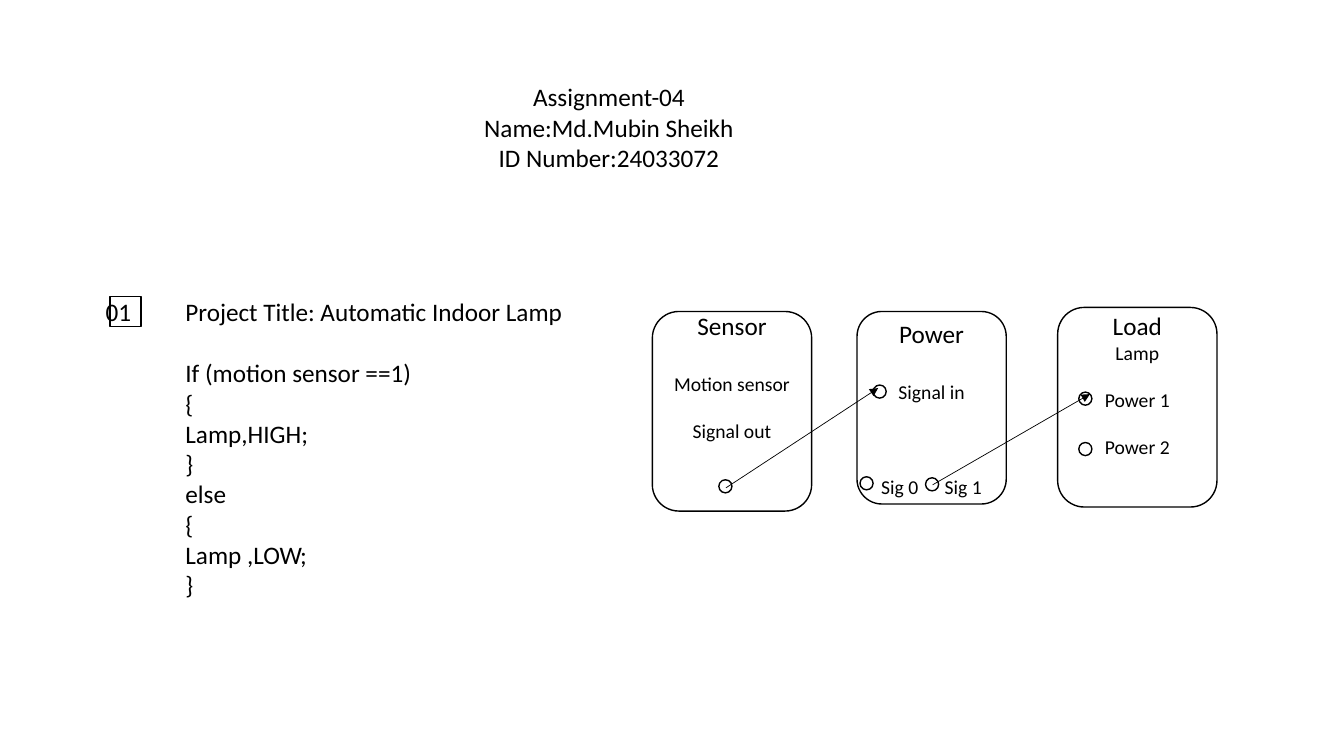
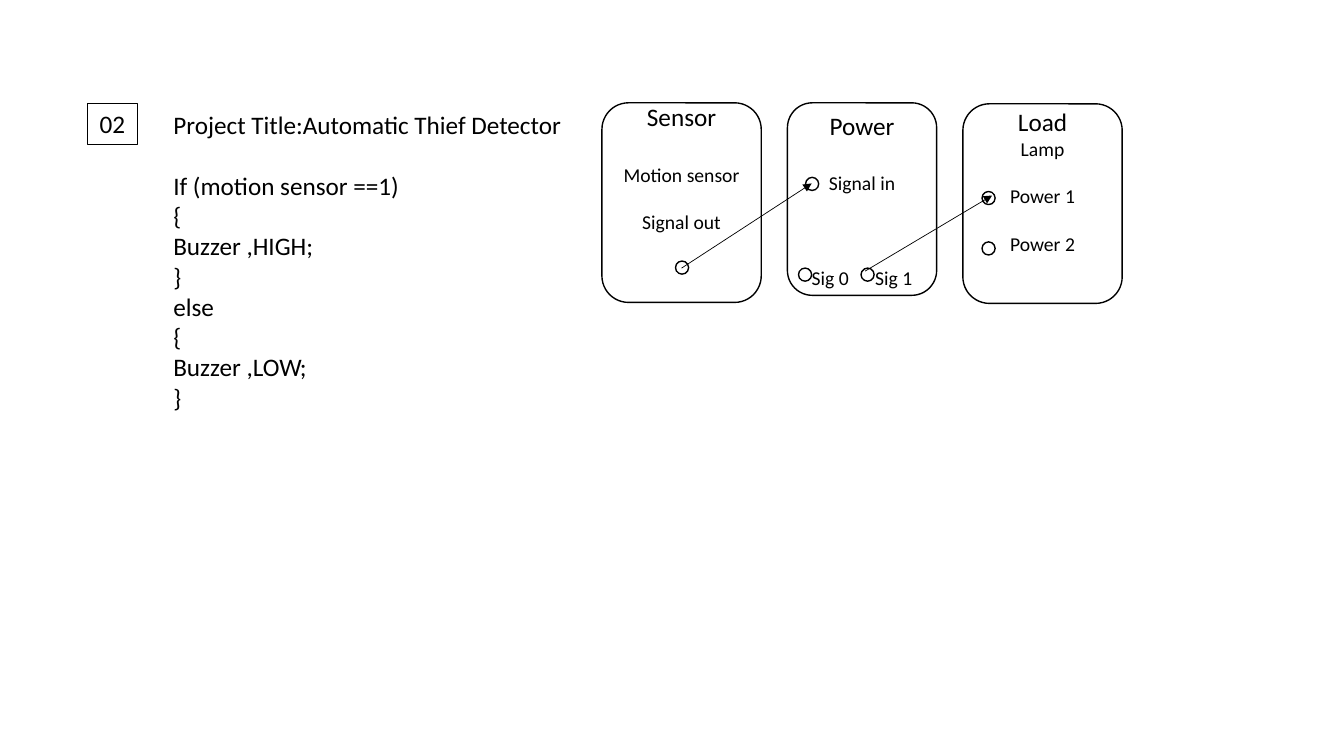
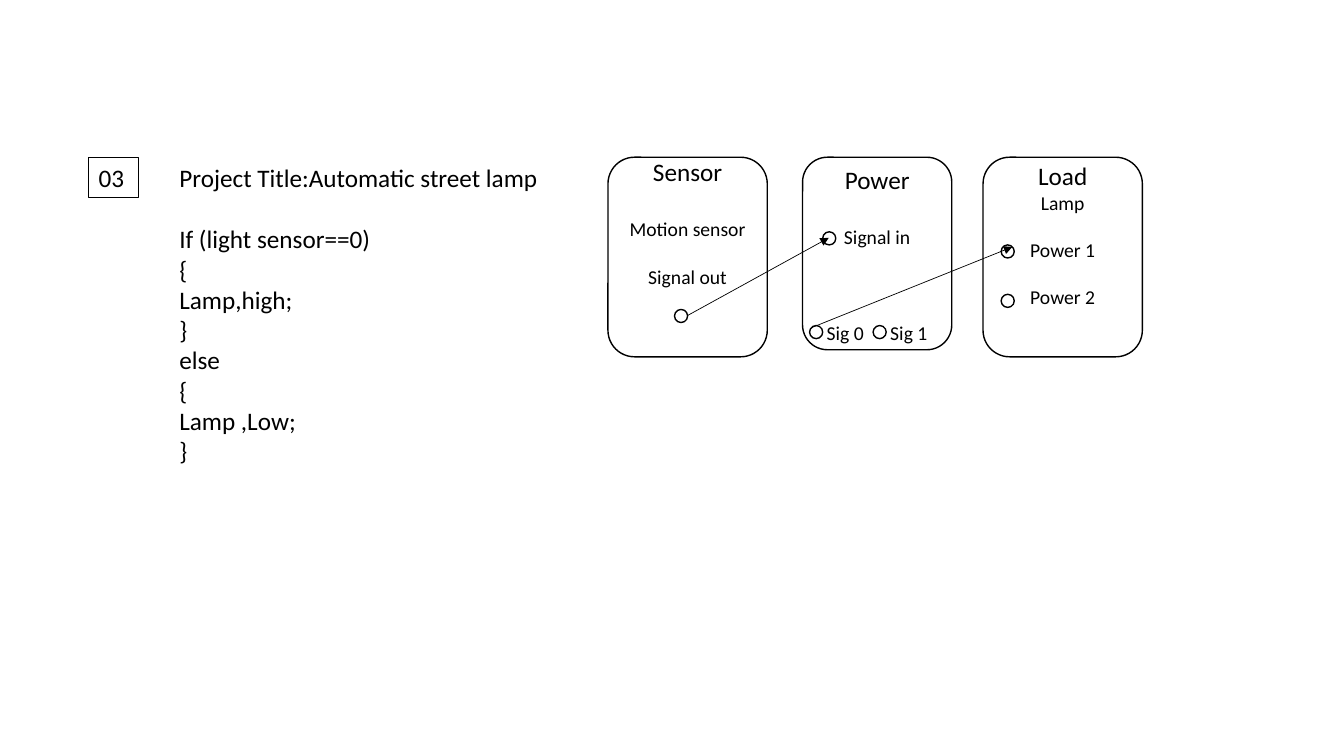
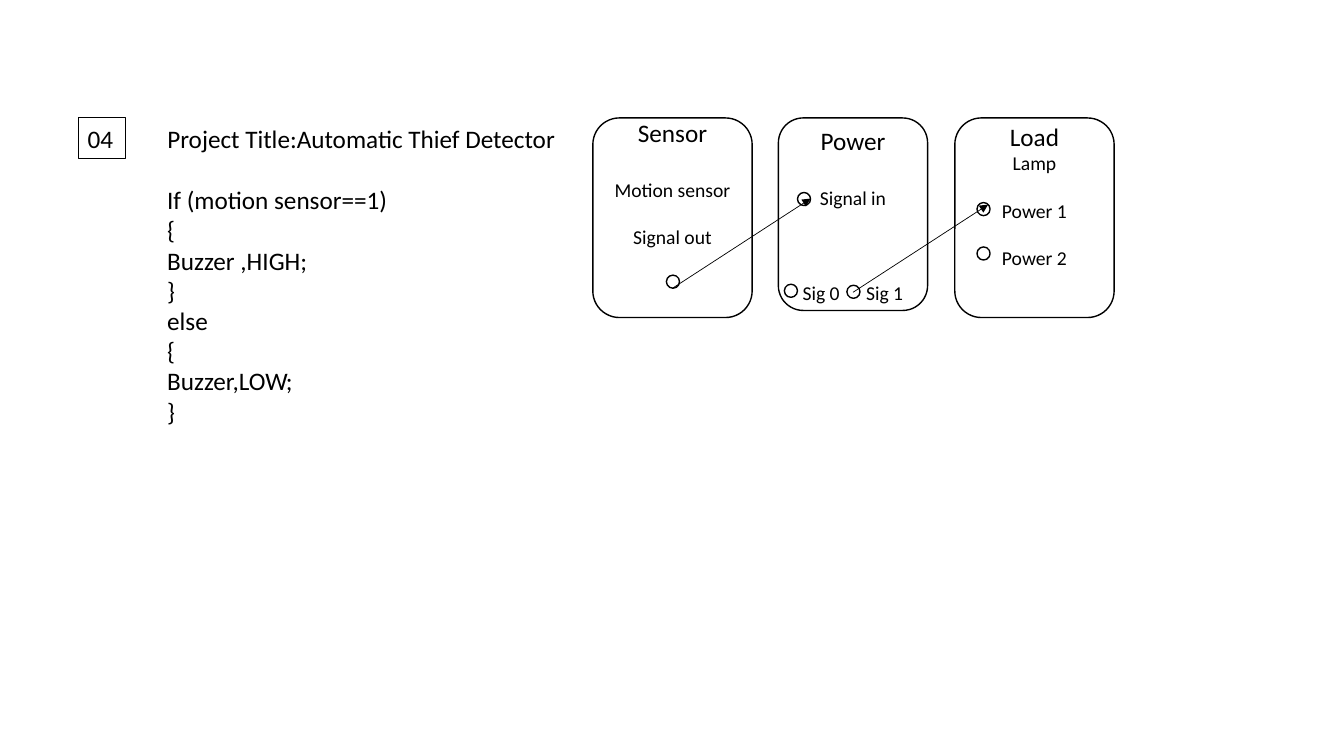
from dataclasses import dataclass

from lxml.etree import SubElement
from pptx import Presentation
from pptx.dml.color import RGBColor
from pptx.enum.shapes import MSO_CONNECTOR as Connector, MSO_SHAPE as Shape
from pptx.enum.text import MSO_ANCHOR as Anchor, MSO_AUTO_SIZE as AutoSize, PP_ALIGN as Align
from pptx.oxml.ns import qn
from pptx.util import Inches, Pt

INK = "000000"
BODY, SMALL = 18, 14            # text sizes
BODY_GAP, SMALL_GAP = 22, 17    # one line of each size, in points
TITLE_STEP = 0.61               # from project title to program, in inches
PORT = 0.13


def color(value):
    return RGBColor.from_string(value)


@dataclass
class Line:
    text: str
    size: int = BODY
    gap: int = 0


@dataclass
class Panel:
    width: float
    height: float
    text_top: float
    lines: list


PANELS = [
    Panel(1.58, 1.98, -0.01, [Line("Sensor"), Line("Motion sensor", SMALL, BODY_GAP),
                              Line("Signal out", SMALL, SMALL_GAP)]),
    Panel(1.48, 1.91, 0.07, [Line("Power"), Line("Signal in", SMALL, BODY_GAP)]),
    Panel(1.58, 1.98, 0.03, [Line("Load"), Line("Lamp", SMALL),
                             Line("Power 1", SMALL, SMALL_GAP),
                             Line("Power 2", SMALL, SMALL_GAP)]),
]
SIGNALS = {"Sig 0": 0.24, "Sig 1": 0.87}    # offsets inside the power panel
SIGNAL_TOP = 1.62


@dataclass
class Project:
    number: str
    number_at: tuple
    badge: tuple
    badge_line: float
    title: str
    at: tuple
    condition: str
    high: str
    low: str
    panels_at: list
    ports: list
    wires: list
    heading: tuple = ()


PROJECTS = [
    Project("01", (0.95, 2.89), (1.09, 2.94, 0.31, 0.3), 1,
            "Project Title: Automatic Indoor Lamp", (1.74, 2.89),
            "If (motion sensor ==1)", "Lamp,HIGH;", "Lamp ,LOW;",
            [(6.47, 3.09), (8.5, 3.09), (10.49, 3.05)],
            [(7.13, 4.76), (8.66, 3.82), (8.53, 4.73), (9.18, 4.74),
             (10.7, 3.89), (10.7, 4.39)],
            [(7.2, 4.84, 8.71, 3.85), (9.25, 4.81, 10.81, 3.91)],
            ("Assignment-04", "Name:Md.Mubin Sheikh", "ID Number:24033072")),
    Project("02", (0.89, 1.03), (0.87, 1.03, 0.49, 0.4), 0.75,
            "Project Title:Automatic Thief Detector", (1.62, 1.03),
            "If (motion sensor ==1)", "Buzzer ,HIGH;", "Buzzer ,LOW;",
            [(5.97, 1.02), (7.81, 1.02), (9.55, 1.03)],
            [(6.7, 2.59), (7.99, 1.76), (7.92, 2.66), (8.54, 2.66),
             (9.74, 1.9), (9.74, 2.4)],
            [(6.76, 2.66, 8.05, 1.82), (8.58, 2.69, 9.84, 1.94)]),
    Project("03", (0.88, 1.56), (0.88, 1.56, 0.49, 0.4), 0.75,
            "Project Title:Automatic street lamp", (1.68, 1.56),
            "If (light sensor==0)", "Lamp,high;", "Lamp ,Low;",
            [(6.03, 1.56), (7.96, 1.56), (9.75, 1.56)],
            [(6.69, 3.07), (8.16, 2.3), (8.03, 3.23), (8.66, 3.23),
             (9.93, 2.43), (9.93, 2.92)],
            [(6.82, 3.13, 8.22, 2.36), (8.05, 3.25, 10.04, 2.45)]),
    Project("04", (0.77, 1.17), (0.78, 1.17, 0.47, 0.4), 0.75,
            "Project Title:Automatic Thief Detector", (1.56, 1.17),
            "If (motion sensor==1)", "Buzzer ,HIGH;", "Buzzer,LOW;",
            [(5.88, 1.17), (7.72, 1.17), (9.47, 1.17)],
            [(6.61, 2.73), (7.91, 1.91), (7.78, 2.82), (8.4, 2.83),
             (9.69, 2.01), (9.69, 2.45)],
            [(6.67, 2.86, 8.04, 1.97), (8.46, 2.9, 9.8, 2.03)]),
]


class Deck:
    def __init__(self):
        self.show = Presentation()
        self.show.slide_width, self.show.slide_height = Inches(13.33), Inches(7.5)

    def add_slide(self):
        self.slide = self.show.slides.add_slide(self.show.slide_layouts[5])

    def fill_lines(self, holder, lines, align=Align.LEFT, **margins):
        frame = holder.text_frame
        settings = {"word_wrap": True, "auto_size": AutoSize.NONE,
                    "vertical_anchor": Anchor.TOP, **margins}
        for name, value in settings.items():
            setattr(frame, name, value)
        for index, line in enumerate(lines):
            paragraph = frame.add_paragraph() if index else frame.paragraphs[0]
            paragraph.alignment = align
            paragraph.space_before = Pt(line.gap)
            run = paragraph.add_run()
            run.text = line.text
            for name, value in {"name": "Calibri", "size": Pt(line.size)}.items():
                setattr(run.font, name, value)
            run.font.color.rgb = color(INK)

    def title(self, lines, box, align=Align.LEFT):
        heading = self.slide.shapes.title
        for name, value in zip(("left", "top", "width", "height"), box):
            setattr(heading, name, Inches(value))
        self.fill_lines(heading, lines, align)

    def text(self, lines, box, align=Align.LEFT, **margins):
        label = self.slide.shapes.add_textbox(*map(Inches, box))
        self.fill_lines(label, lines, align, **margins)

    def outline(self, kind, box, weight=1):
        shape = self.slide.shapes.add_shape(kind, *map(Inches, box))
        shape.shadow.inherit = False
        shape.fill.background()
        shape.line.color.rgb = color(INK)
        shape.line.width = Pt(weight)

    def arrow(self, ends):
        wire = self.slide.shapes.add_connector(Connector.STRAIGHT, *map(Inches, ends))
        wire.line.color.rgb = color(INK)
        wire.line.width = Pt(0.5)
        properties = wire._element.spPr
        SubElement(properties.find(qn("a:ln")), qn("a:tailEnd"), type="triangle")
        SubElement(properties, qn("a:effectLst"))

    def panel(self, panel, left, top):
        self.outline(Shape.ROUNDED_RECTANGLE, (left, top, panel.width, panel.height))
        self.text(panel.lines, (left, top + panel.text_top, panel.width, 1.5),
                  Align.CENTER, margin_top=0, margin_bottom=0)


def build_project(deck, project):
    deck.add_slide()
    left, top = project.at

    # Heading and project title
    title_lines, title_box = [Line(project.title)], (left, top, 4.31, 0.4)
    if project.heading:
        deck.title([Line(text) for text in project.heading],
                   (4.68, 0.76, 2.72, 1.01), Align.CENTER)
        deck.text(title_lines, title_box)
    else:
        deck.title(title_lines, title_box)

    # Project number
    deck.outline(Shape.RECTANGLE, project.badge, project.badge_line)
    deck.text([Line(project.number)], (*project.number_at, 0.5, 0.4))

    # Program
    program = (project.condition, "{", project.high, "}", "else", "{", project.low, "}")
    deck.text([Line(text) for text in program], (left, top + TITLE_STEP, 4.31, 2.54))

    # Block diagram
    for panel, place in zip(PANELS, project.panels_at):
        deck.panel(panel, *place)
    power_left, power_top = project.panels_at[1]
    for signal, offset in SIGNALS.items():
        deck.text([Line(signal, SMALL)],
                  (power_left + offset, power_top + SIGNAL_TOP, 0.5, 0.24),
                  margin_left=0, margin_right=0, margin_top=0, margin_bottom=0)
    for port in project.ports:
        deck.outline(Shape.OVAL, (*port, PORT, PORT))
    for wire in project.wires:
        deck.arrow(wire)


def main():
    deck = Deck()
    for project in PROJECTS:
        build_project(deck, project)
    deck.show.save("out.pptx")


if __name__ == "__main__":
    main()
